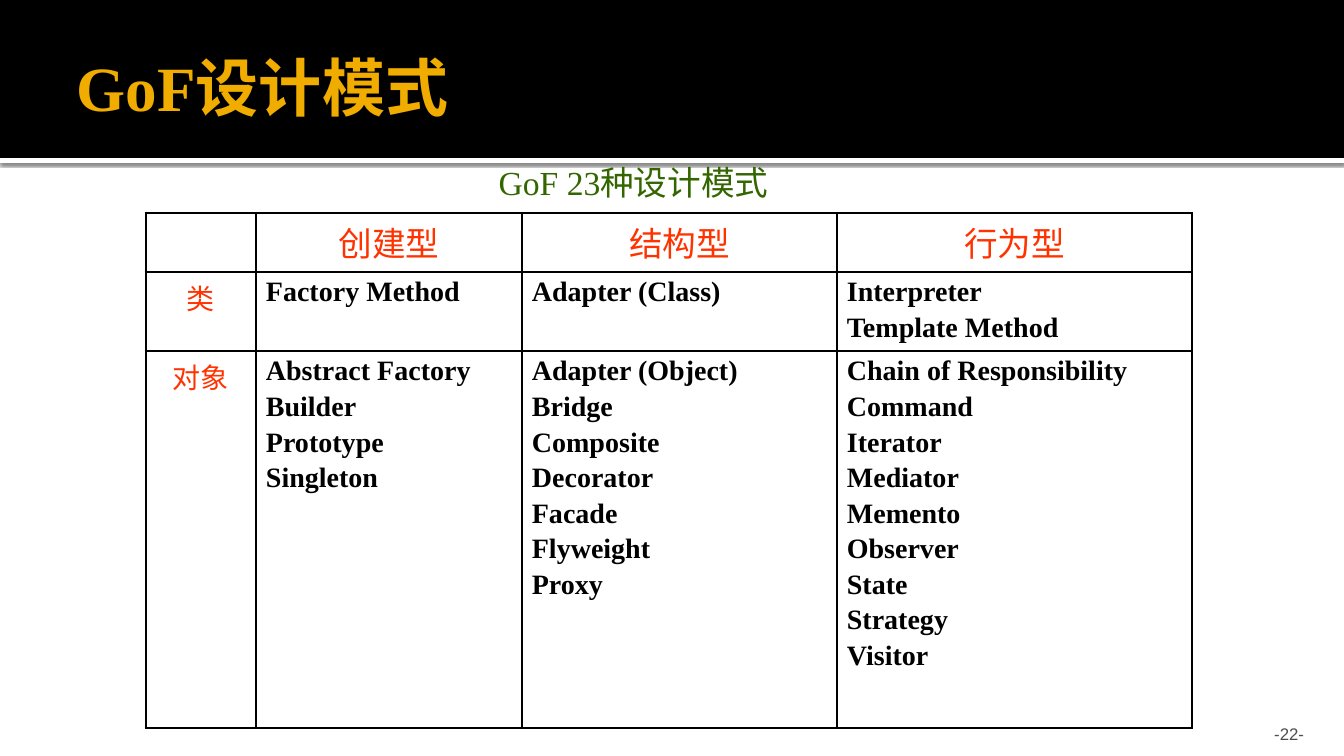
import pptx
import pptx.util
import pptx.dml.color
import pptx.enum.shapes
import pptx.enum.text
import pptx.oxml

PX = 9525 * 96 / 100.8
ALIGN = pptx.enum.text.PP_ALIGN
ANCHOR = pptx.enum.text.MSO_ANCHOR
NS = 'xmlns:a="http://schemas.openxmlformats.org/drawingml/2006/main"'


def px(*lengths):
    return [pptx.util.Emu(round(n * PX)) for n in lengths]


def write(tf, lines, color, align=ALIGN.LEFT, **font):
    """Fill a text frame, one paragraph per line."""
    for i, line in enumerate(lines):
        p = tf.paragraphs[0] if i == 0 else tf.add_paragraph()
        p.alignment = align
        p.space_before = pptx.util.Pt(3.2 if i else 0)
        r = p.add_run()
        r.text = line
        for name, value in ({"name": "Times New Roman", "bold": False} | font).items():
            setattr(r.font, name, value)
        r.font.color.rgb = pptx.dml.color.RGBColor.from_string(color)


prs = pptx.Presentation()
prs.slide_width, prs.slide_height = px(1344, 756)
s = prs.slides.add_slide(prs.slide_layouts[5])

# Header band and the white strip under it
for top, height, color in [(158, 5, "FFFFFF"), (0, 158, "000000")]:
    sp = s.shapes.add_shape(pptx.enum.shapes.MSO_SHAPE.RECTANGLE, *px(0, top, 1344, height))
    sp.shadow.inherit = False
    sp.fill.solid()
    sp.fill.fore_color.rgb = pptx.dml.color.RGBColor.from_string(color)
    sp.line.fill.background()
    if color == "FFFFFF":
        effects = sp._element.spPr.find(pptx.oxml.ns.qn("a:effectLst"))
        effects.append(pptx.oxml.parse_xml(
            f'<a:outerShdw {NS} blurRad="31750" dist="10160" dir="5400000">'
            '<a:srgbClr val="000000"><a:alpha val="60000"/></a:srgbClr></a:outerShdw>'))

# Title, raised above the band
title = s.shapes.title
s.shapes._spTree.append(title._element)
title.left, title.top, title.width, title.height = px(67, 17, 1210, 138)
tf = title.text_frame
tf.vertical_anchor = ANCHOR.MIDDLE
tf.margin_left, tf.margin_top, tf.margin_right, tf.margin_bottom = px(10, 5, 5, 5)
write(tf, ["GoF设计模式"], "F0AD00", size=pptx.util.Pt(45), bold=True)

# Pattern table
kinds = ["", "创建型", "结构型", "行为型"]
class_patterns = [
    ["类"],
    ["Factory Method"],
    ["Adapter (Class)"],
    ["Interpreter", "Template Method"],
]
object_patterns = [
    ["对象"],
    ["Abstract Factory", "Builder", "Prototype", "Singleton"],
    ["Adapter (Object)", "Bridge", "Composite", "Decorator", "Facade", "Flyweight", "Proxy"],
    ["Chain of Responsibility", "Command", "Iterator", "Mediator", "Memento",
     "Observer", "State", "Strategy", "Visitor"],
]
rows = [[[kind] if kind else [] for kind in kinds], class_patterns, object_patterns]
widths = px(110, 266, 315, 355)
heights = px(59, 79, 377)
table = s.shapes.add_table(3, 4, *px(146, 213), sum(widths), sum(heights)).table
table.first_row = table.horz_banding = False
for column, width in zip(table.columns, widths):
    column.width = width
for row, height in zip(table.rows, heights):
    row.height = height

for i, row in enumerate(rows):
    for j, lines in enumerate(row):
        cell = table.cell(i, j)
        cell.margin_left, cell.margin_top, cell.margin_right, cell.margin_bottom = px(10, 5, 10, 5)
        size = pptx.util.Pt(20 if i else 24)
        if i and j:
            write(cell.text_frame, lines, "000000", size=size, bold=True)
        else:
            write(cell.text_frame, lines, "FF3300", ALIGN.CENTER, size=size)
        tcPr = cell._tc.get_or_add_tcPr()
        outer = {"L": j == 0, "R": j == 3, "T": i == 0, "B": i == 2}
        for side, thick in outer.items():
            tcPr.append(pptx.oxml.parse_xml(
                f'<a:ln{side} {NS} w="{28575 if thick else 12700}"><a:solidFill>'
                f'<a:srgbClr val="000000"/></a:solidFill></a:ln{side}>'))
        cell.fill.background()

# Page number and table caption
page = s.shapes.add_textbox(*px(1206, 714, 108, 30))
caption = s.shapes.add_textbox(*px(193, 157, 881, 50))
for box in (page, caption):
    box.text_frame.word_wrap = True
page.text_frame.vertical_anchor = ANCHOR.BOTTOM
page.text_frame.margin_bottom = 0
write(page.text_frame, ["-22-"], "4D4D4D", ALIGN.RIGHT, size=pptx.util.Pt(12), name="Arial")
write(caption.text_frame, ["GoF 23种设计模式"], "336600", ALIGN.CENTER, size=pptx.util.Pt(24))

prs.save("out.pptx")
